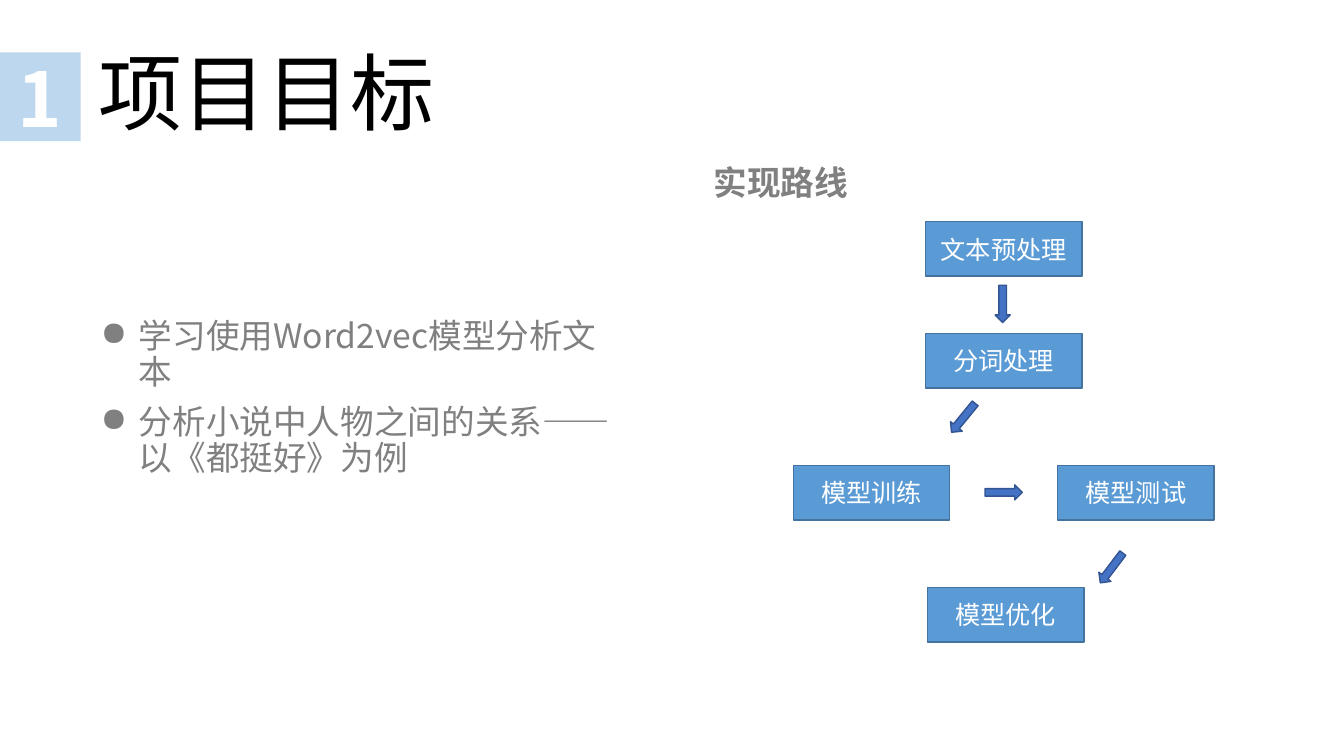
from lxml.etree import SubElement
from pptx import Presentation
from pptx.dml.color import RGBColor
from pptx.enum.shapes import MSO_SHAPE as Shape
from pptx.enum.text import MSO_ANCHOR as Anchor, PP_ALIGN as Align
from pptx.oxml.ns import qn
from pptx.util import Inches, Pt


def color(hex_string):
    return RGBColor.from_string(hex_string)


class SlideBuilder:
    font = "Noto Sans CJK SC"
    white, black, gray = "FFFFFF", "000000", "808080"
    badge_fill = "BDD7EE"
    step_fill, step_line = "5B9BD5", "43739E"
    arrow_fill, arrow_line = "4472C4", "325491"

    def __init__(self, slide):
        self.slide = slide

    def set_text(self, shape, lines, size, text_color, bold=False,
                 alignment=Align.LEFT, line_spacing=1.0, space_before=0):
        frame = shape.text_frame
        frame.word_wrap = True
        frame.vertical_anchor = Anchor.MIDDLE
        frame.text = "\n".join(lines)
        for paragraph in frame.paragraphs:
            paragraph.alignment = alignment
            paragraph.line_spacing = line_spacing
            paragraph.space_before = Pt(space_before)
            for run in paragraph.runs:
                run.font.size = Pt(size)
                run.font.bold = bold
                run.font.color.rgb = color(text_color)
                run.font.name = self.font
                # East Asian characters need their own typeface entry
                properties = run._r.get_or_add_rPr()
                SubElement(properties, qn("a:ea"), typeface=self.font)

    def text(self, box, lines, size, text_color, bold=False, space_before=0):
        shape = self.slide.shapes.add_textbox(*map(Inches, box))
        self.set_text(shape, lines, size, text_color, bold,
                      line_spacing=0.9, space_before=space_before)
        return shape

    def bullets(self, box, lines, size, text_color):
        shape = self.text(box, lines, size, text_color, space_before=10)
        indent = Inches(0.38)
        for paragraph in shape.text_frame.paragraphs:
            properties = paragraph._p.get_or_add_pPr()
            properties.set("marL", str(indent))
            properties.set("indent", str(-indent))
            SubElement(properties, qn("a:buChar"), char="●")

    def shape(self, kind, box, fill, line=None):
        shape = self.slide.shapes.add_shape(kind, *map(Inches, box))
        shape.shadow.inherit = False
        shape.fill.solid()
        shape.fill.fore_color.rgb = color(fill)
        if line:
            shape.line.color.rgb = color(line)
            shape.line.width = Pt(1)
        else:
            shape.line.fill.background()
        return shape

    def badge(self, box, label):
        shape = self.shape(Shape.RECTANGLE, box, self.badge_fill)
        self.set_text(shape, [label], 54, self.white, bold=True, alignment=Align.CENTER)

    def step(self, left, top, label):
        box = (left, top, 1.55, 0.54)
        shape = self.shape(Shape.RECTANGLE, box, self.step_fill, self.step_line)
        self.set_text(shape, [label], 18, self.white, alignment=Align.CENTER)

    def arrow(self, left, top, rotation):
        box = (left, top, 0.15, 0.37)
        shape = self.shape(Shape.DOWN_ARROW, box, self.arrow_fill, self.arrow_line)
        shape.rotation = rotation


presentation = Presentation()
presentation.slide_width = Inches(13.33)
presentation.slide_height = Inches(7.5)
builder = SlideBuilder(presentation.slides.add_slide(presentation.slide_layouts[6]))

# Goals
builder.bullets(
    (0.9, 2.66, 5.37, 2.59),
    ["学习使用Word2vec模型分析文本", "分析小说中人物之间的关系——以《都挺好》为例"],
    24,
    builder.gray,
)

# Numbered title
builder.text((0.88, 0.52, 6.1, 0.88), ["项目目标"], 60, builder.black)
builder.badge((0, 0.52, 0.8, 0.88), "1")

# Route heading
builder.text((6.98, 1.56, 2.13, 0.54), ["实现路线"], 24, builder.gray,
             bold=True, space_before=10)

# Route steps: left, top, label
steps = [
    (9.18, 2.2, "文本预处理"),
    (9.18, 3.31, "分词处理"),
    (7.87, 4.62, "模型训练"),
    (10.49, 4.62, "模型测试"),
    (9.2, 5.83, "模型优化"),
]
for left, top, label in steps:
    builder.step(left, top, label)

# Arrows between steps: left, top, rotation
arrows = [(9.87, 2.83, 0), (9.48, 3.96, 39.2), (9.88, 4.7, 270), (10.95, 5.45, 37.1)]
for left, top, rotation in arrows:
    builder.arrow(left, top, rotation)

presentation.save("out.pptx")
